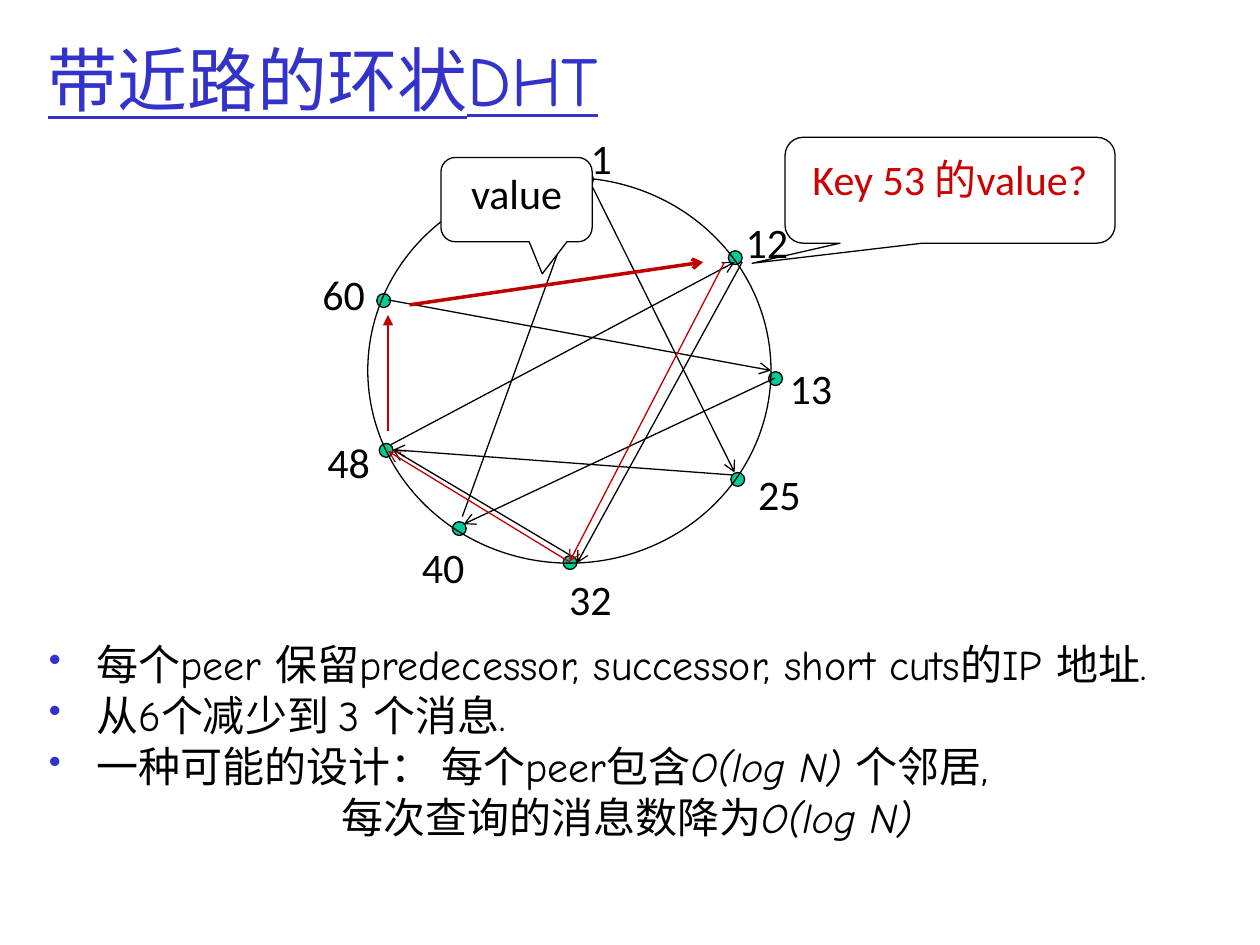
"""Build a slide on a circular DHT with shortcuts."""
import dataclasses
import typing

import pptx
import pptx.dml.color
import pptx.enum.shapes
import pptx.enum.text
import pptx.oxml
import pptx.oxml.ns
import pptx.util

Pt = pptx.util.Pt
SHAPE = pptx.enum.shapes.MSO_SHAPE
ANCHOR = pptx.enum.text.MSO_ANCHOR
FIT = pptx.enum.text.MSO_AUTO_SIZE.SHAPE_TO_FIT_TEXT
ALIGN = pptx.enum.text.PP_ALIGN
NS = pptx.oxml.ns.nsdecls("a")

BLACK, BLUE, GREEN, RED, WHITE = "000000", "3333CC", "00CC99", "C00000", "FFFFFF"
TITLE = {"name": "Comic Neue", "size": Pt(40), "underline": True}
BODY = {"name": "Comic Neue", "size": Pt(24)}
ITALIC = {**BODY, "italic": True}
LABEL = {"name": "Calibri", "size": Pt(24)}
NODE_SIZE = 7.9
BODY_INDENT = 27


@dataclasses.dataclass
class Peer:
    """A node on the ring with the top left corners of its dot and its label."""
    name: str
    x: float
    y: float
    label_x: float
    label_y: float
    label_width: float = 38.9


@dataclasses.dataclass
class Arrow:
    """A straight arrow between two points."""
    x1: float
    y1: float
    x2: float
    y2: float
    color: str = BLACK
    width: float = 0.75
    head: str = "arrow"


@dataclasses.dataclass
class Line:
    """A line of body text as (text, format) pairs."""
    texts: list
    left: float = BODY_INDENT
    hanging: float = BODY_INDENT
    bullet: bool = True


PEERS = [
    Peer("1", 331.2, 98.6, 330.5, 72, 26.6),
    Peer("12", 416.2, 143.3, 419, 120.2),
    Peer("13", 439.2, 212.4, 444.2, 203.8),
    Peer("25", 417.6, 270, 426.2, 264.2),
    Peer("32", 321.8, 317.5, 318.2, 324),
    Peer("40", 258.5, 298.1, 234, 306),
    Peer("48", 216.7, 253.4, 180, 246.2),
    Peer("60", 215.3, 167.8, 177.1, 149.8),
]
SHORTCUTS = [
    Arrow(442.8, 216, 265, 299.5),
    Arrow(418.3, 271.4, 224.6, 257),
    Arrow(326.2, 317.5, 224.6, 257),
    Arrow(264.2, 295.2, 334.1, 102.2),
    Arrow(223.2, 254.2, 419.8, 149.8),
    Arrow(221.8, 171.4, 440.6, 211.7),
    Arrow(337.7, 105.1, 419.8, 270),
    Arrow(424.1, 149.8, 329.8, 321.8),
    Arrow(414, 149.8, 325.4, 321.1, RED),
    Arrow(325.4, 321.1, 221.8, 257.8, RED),
]
REPLIES = [
    Arrow(234, 174.2, 401.8, 149.8, RED, 2),
    Arrow(221.8, 246.2, 221.8, 180, RED, head="triangle"),
]
LINES = [
    Line([("每个peer 保留predecessor, successor, short cuts的IP 地址.", BODY)]),
    Line([("从6个减少到 3 个消息.", BODY)]),
    Line([("一种可能的设计： 每个peer包含", BODY), ("O(log N) ", ITALIC), ("个邻居,", BODY)]),
    Line([("每次查询的消息数降为", BODY), ("O(log N)", ITALIC)], 167, 0, False),
]


def rgb(color: str) -> pptx.dml.color.RGBColor:
    """Turn a hex string into a colour."""
    return pptx.dml.color.RGBColor.from_string(color)


def add_run(p, text: str, fmt: dict, color: str = BLACK) -> None:
    """Add a formatted run to a paragraph."""
    r = p.add_run()
    r.text = text
    for key, value in fmt.items():
        setattr(r.font, key, value)
    r.font.color.rgb = rgb(color)


def add_box(s, box: tuple, **frame):
    """Add a text box and return its text frame."""
    tf = s.shapes.add_textbox(*map(Pt, box)).text_frame
    for key, value in {"word_wrap": True, **frame}.items():
        setattr(tf, key, value)
    return tf


def add_shape(s, kind, box: tuple, fill: typing.Optional[str] = None, adjust: tuple = ()):
    """Add a thinly outlined shape."""
    sp = s.shapes.add_shape(kind, *map(Pt, box))
    sp.shadow.inherit = False
    if fill:
        sp.fill.solid()
        sp.fill.fore_color.rgb = rgb(fill)
    else:
        sp.fill.background()
    sp.line.color.rgb = rgb(BLACK)
    sp.line.width = Pt(0.75)
    for i, value in enumerate(adjust):
        sp.adjustments[i] = value
    return sp


def add_arrow(s, arrow: Arrow) -> None:
    """Draw an arrow."""
    points = map(Pt, (arrow.x1, arrow.y1, arrow.x2, arrow.y2))
    sp = s.shapes.add_connector(pptx.enum.shapes.MSO_CONNECTOR.STRAIGHT, *points)
    sp.line.color.rgb = rgb(arrow.color)
    sp.line.width = Pt(arrow.width)
    spPr = sp.element.spPr
    ln = spPr.find(pptx.oxml.ns.qn("a:ln"))
    ln.append(pptx.oxml.parse_xml(f'<a:tailEnd {NS} type="{arrow.head}"/>'))
    spPr.append(pptx.oxml.parse_xml(f"<a:effectLst {NS}/>"))


def add_line(p, line: Line) -> None:
    """Fill a body paragraph."""
    pPr = p._p.get_or_add_pPr()
    pPr.set("marL", str(Pt(line.left)))
    pPr.set("indent", str(-Pt(line.hanging)))
    if line.bullet:
        for xml in (
            f'<a:buClr {NS}><a:srgbClr val="{BLUE}"/></a:buClr>',
            f'<a:buSzPct {NS} val="85000"/>',
            f'<a:buChar {NS} char="•"/>',
        ):
            pPr.append(pptx.oxml.parse_xml(xml))
    p.line_spacing = 0.8
    for text, fmt in line.texts:
        add_run(p, text, fmt)


def main() -> None:
    """Build and save the slide."""
    prs = pptx.Presentation()
    prs.slide_width, prs.slide_height = Pt(720), Pt(540)
    s = prs.slides.add_slide(prs.slide_layouts[6])

    tf = add_box(s, (20.2, 0, 648, 90), vertical_anchor=ANCHOR.MIDDLE)
    add_run(tf.paragraphs[0], "带近路的环状DHT", TITLE, BLUE)

    tf = add_box(s, (20.9, 367.2, 699.1, 131.8))
    for i, line in enumerate(LINES):
        p = tf.add_paragraph() if i else tf.paragraphs[0]
        add_line(p, line)
        if i:
            p.space_before = Pt(6)

    for peer in PEERS:
        add_shape(s, SHAPE.OVAL, (peer.x, peer.y, NODE_SIZE, NODE_SIZE), GREEN)
    add_shape(s, SHAPE.OVAL, (210.2, 101.5, 230.4, 220.3))
    for peer in PEERS:
        box = (peer.label_x, peer.label_y, peer.label_width, 36)
        tf = add_box(s, box, word_wrap=False, auto_size=FIT)
        add_run(tf.paragraphs[0], peer.name, LABEL)
    for arrow in SHORTCUTS:
        add_arrow(s, arrow)

    callout = SHAPE.ROUNDED_RECTANGULAR_CALLOUT
    add_shape(s, callout, (448.6, 78.5, 188.6, 60.5), adjust=(-0.6, 0.69, 0.17))
    p = add_box(s, (457.2, 92.9, 187.2, 53.3), auto_size=FIT).paragraphs[0]
    p.line_spacing = Pt(20)
    add_run(p, "Key 53 的value?", LABEL, "CC0000")

    sp = add_shape(s, callout, (252, 90, 86.4, 48.2), WHITE, (0.17, 0.88, 0.17))
    sp.text_frame.vertical_anchor = ANCHOR.TOP
    p = sp.text_frame.paragraphs[0]
    p.alignment = ALIGN.CENTER
    add_run(p, "value", LABEL)

    for arrow in REPLIES:
        add_arrow(s, arrow)
    prs.save("out.pptx")


if __name__ == "__main__":
    main()
